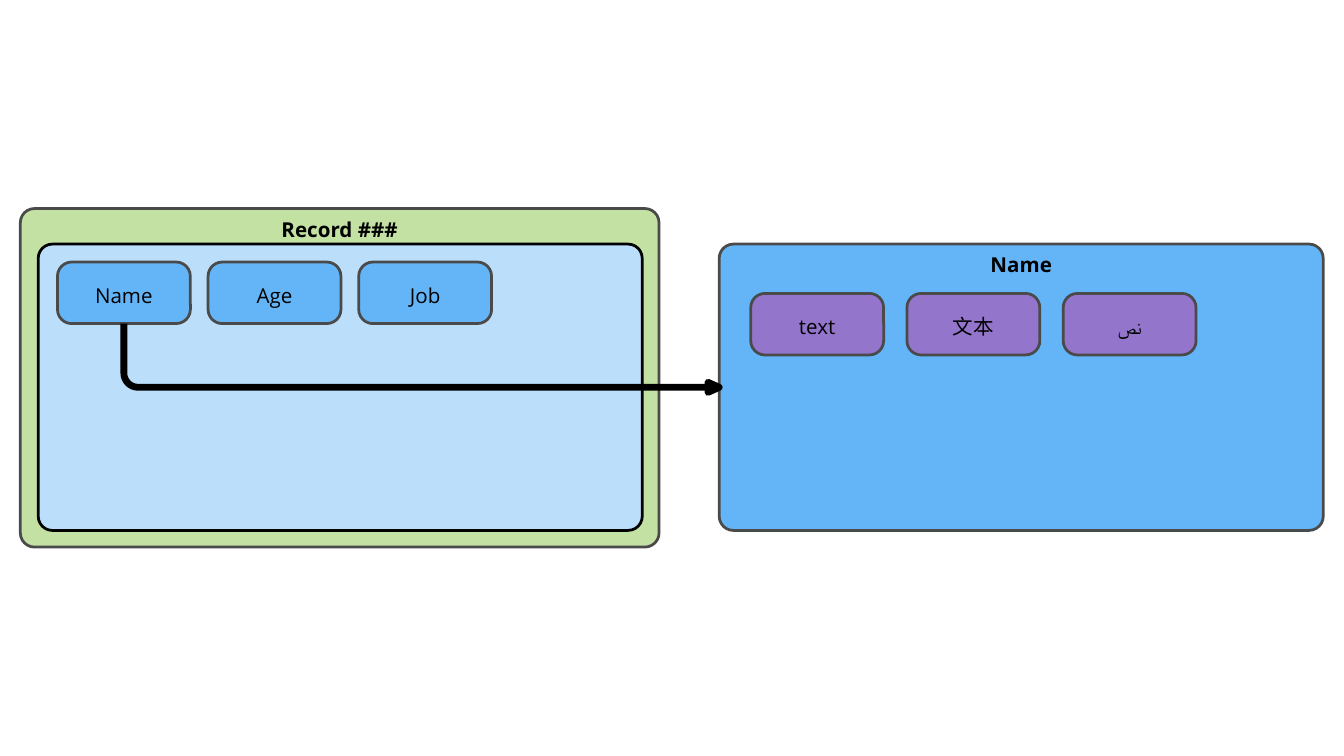
from math import cos, pi, sin

from pptx import Presentation
from pptx.dml.color import RGBColor
from pptx.enum.shapes import MSO_SHAPE
from pptx.enum.text import MSO_ANCHOR, PP_ALIGN
from pptx.util import Pt

BLACK = RGBColor(0x00, 0x00, 0x00)
GRAY = RGBColor(0x4A, 0x4A, 0x4A)
GREEN = RGBColor(0xC4, 0xE1, 0xA4)
PALE_BLUE = RGBColor(0xBB, 0xDE, 0xFB)
BLUE = RGBColor(0x64, 0xB5, 0xF7)
PURPLE = RGBColor(0x94, 0x75, 0xCC)

# left, top, width, height
RECORD = (10.9, 111.7, 342.2, 181.4)
FIELDS = (20.5, 130.8, 323.6, 153.4)
VALUES = (385.3, 130.8, 323.6, 153.4)

# title, frame, fill, line colour
FRAMES = [
    ("Record ###", RECORD, GREEN, GRAY),
    ("", FIELDS, PALE_BLUE, BLACK),
    ("Name", VALUES, BLUE, GRAY),
]

# labels, left and top of the first chip, pitch, fill
CHIP_ROWS = [
    (["Name", "Age", "Job"], 30.8, 140.4, 80.7, BLUE),
    (["text", "文本", "نص"], 402.2, 157.2, 83.7, PURPLE),
]
CHIP_W, CHIP_H = 71.2, 33
RADIUS = 7.6
ARROW_WIDTH = 3.66
HEAD_LENGTH, HEAD_HALF = 6, 2.7


def add_box(shapes, text, frame, fill, line, title=False):
    s = shapes.add_shape(MSO_SHAPE.ROUNDED_RECTANGLE, *map(Pt, frame))
    s.adjustments[0] = RADIUS / min(frame[2:])
    s.shadow.inherit = False
    s.fill.solid()
    s.fill.fore_color.rgb = fill
    s.line.color.rgb = line
    s.line.width = Pt(1.47)
    if not text:
        return
    tf = s.text_frame
    tf.word_wrap = True
    tf.margin_left = tf.margin_right = tf.margin_bottom = 0
    tf.margin_top = Pt(0.7)
    tf.vertical_anchor = MSO_ANCHOR.TOP if title else MSO_ANCHOR.MIDDLE
    tf.text = text
    p = tf.paragraphs[0]
    p.alignment = PP_ALIGN.CENTER
    p.line_spacing = 1.11
    font = p.runs[0].font
    font.name = "Open Sans"
    font.size = Pt(11)
    font.bold = title
    font.color.rgb = BLACK


def add_stroke(shapes, points, closed):
    """Draw a thick black outline, filled when closed."""
    points = [(Pt(x), Pt(y)) for x, y in points]
    builder = shapes.build_freeform(*points[0])
    builder.add_line_segments(points[1:], close=closed)
    s = builder.convert_to_shape()
    s.shadow.inherit = False
    if closed:
        s.fill.solid()
        s.fill.fore_color.rgb = BLACK
    else:
        s.fill.background()
    s.line.color.rgb = BLACK
    s.line.width = Pt(ARROW_WIDTH)


def add_arrow(shapes, start, end):
    """Go down from start, round the corner, then right to end."""
    (x1, y1), (x2, y2) = start, end
    steps = 8
    angles = [pi / 2 * i / steps for i in range(steps + 1)]
    corner = [(x1 + RADIUS * (1 - cos(a)), y2 - RADIUS * (1 - sin(a)))
              for a in angles]
    add_stroke(shapes, [start, *corner, end], closed=False)
    base = x2 - HEAD_LENGTH
    add_stroke(shapes, [end, (base, y2 + HEAD_HALF), (base, y2 - HEAD_HALF)],
               closed=True)


prs = Presentation()
prs.slide_width, prs.slide_height = Pt(720), Pt(405)
shapes = prs.slides.add_slide(prs.slide_layouts[6]).shapes

for title, frame, fill, line in FRAMES:
    add_box(shapes, title, frame, fill, line, title=True)

for labels, left, top, pitch, fill in CHIP_ROWS:
    for i, label in enumerate(labels):
        add_box(shapes, label, (left + i * pitch, top, CHIP_W, CHIP_H), fill, GRAY)

_, name_left, name_top, _, _ = CHIP_ROWS[0]
add_arrow(shapes,
          (name_left + CHIP_W / 2, name_top + CHIP_H),
          (VALUES[0], VALUES[1] + VALUES[3] / 2))

prs.save("out.pptx")
